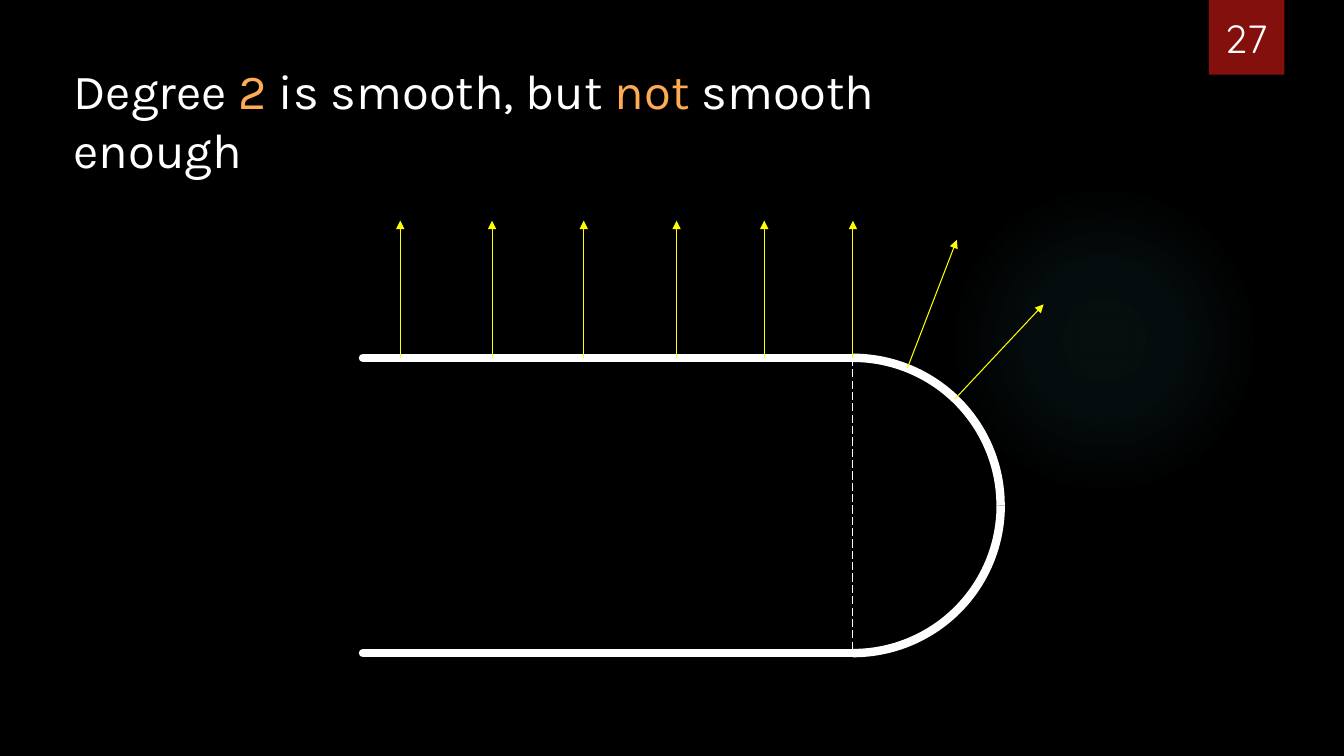
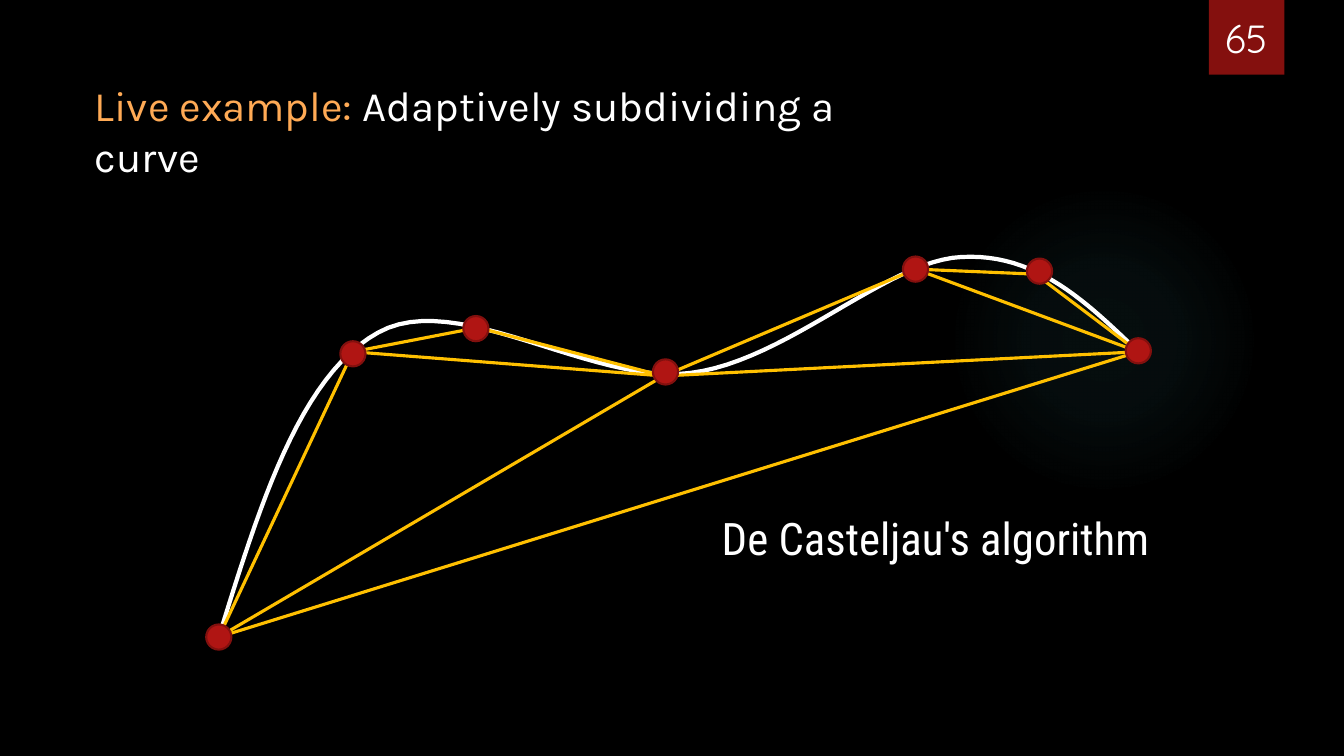
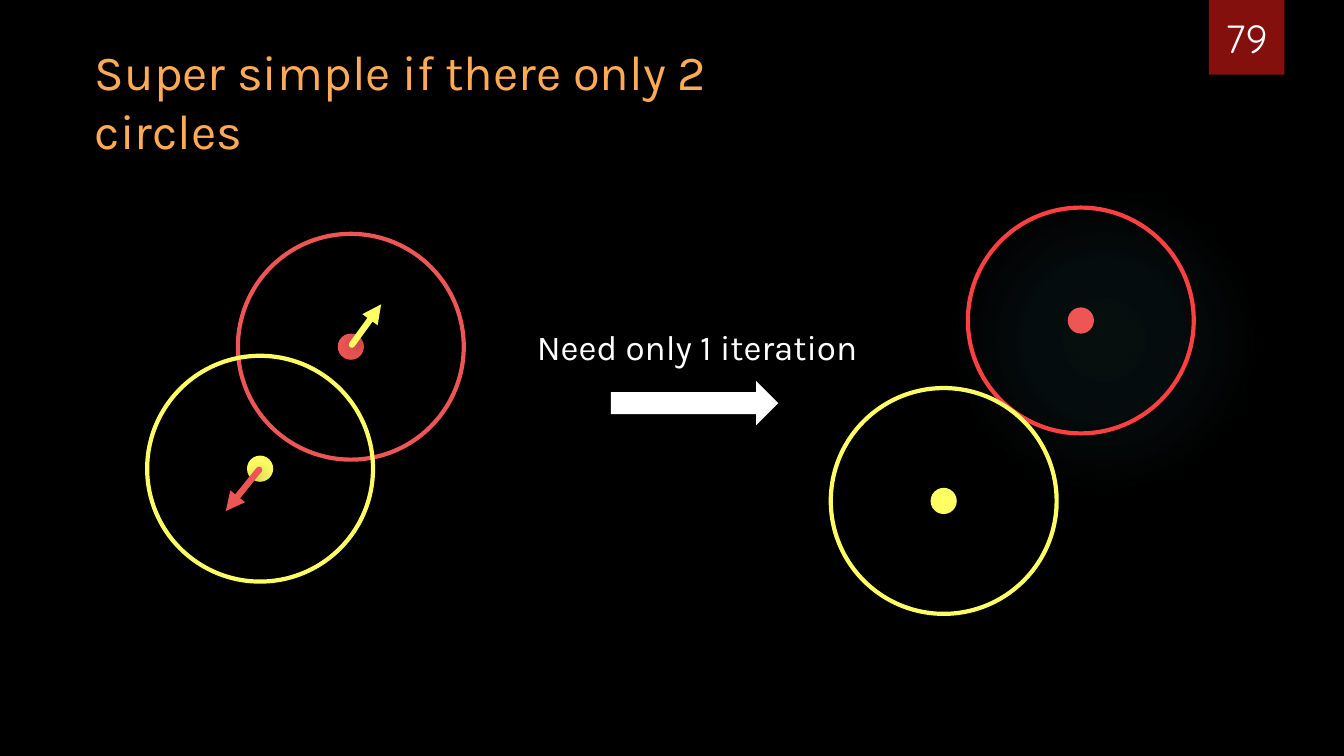
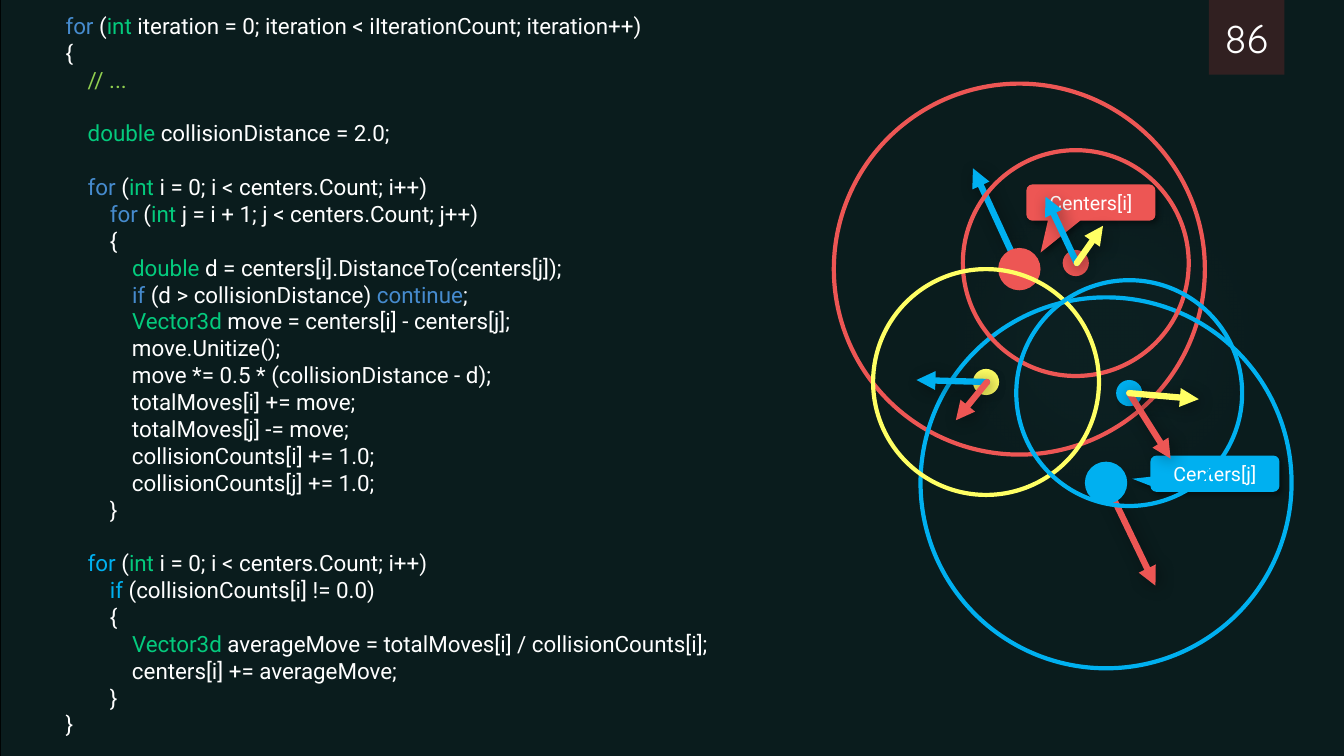
"""Four dark lecture slides on curve smoothness, subdivision and circle collisions."""
from dataclasses import dataclass

from lxml.etree import SubElement
from pptx import Presentation
from pptx.dml.color import RGBColor
from pptx.enum.dml import MSO_LINE
from pptx.enum.shapes import MSO_CONNECTOR, MSO_SHAPE
from pptx.enum.text import MSO_ANCHOR, MSO_AUTO_SIZE, PP_ALIGN
from pptx.oxml import parse_xml
from pptx.oxml.ns import nsdecls, qn
from pptx.util import Inches, Pt


@dataclass(frozen=True)
class Theme:
    black: str = "000000"
    white: str = "FFFFFF"
    accent: str = "FFAA55"
    badge: str = "84100E"
    glow: str = "50B9C1"
    normal: str = "FFFF00"
    chord: str = "FFC000"
    knot: str = "B01513"
    knot_edge: str = "82100E"
    red: str = "ED5654"
    bright_red: str = "FF4040"
    yellow: str = "FFFF64"
    blue: str = "00B0F0"
    panel: str = "0F282A"
    keyword: str = "468BCE"
    type: str = "04CA7D"
    comment: str = "92D050"
    title_font: str = "Karla"
    number_font: str = "Quicksand"
    code_font: str = "Roboto"
    label_font: str = "Roboto Condensed"
    title_size: float = 35
    small_title_size: float = 30
    label_size: float = 32
    number_size: float = 28
    caption_size: float = 25
    code_size: float = 16
    callout_size: float = 14
    hairline: float = 0.75
    chord_width: float = 2.25
    ring_width: float = 3
    arrow_width: float = 4.5
    track_width: float = 6


THEME = Theme()

BADGE_SHADOW = (45, 3, 2, 90)
ARROW_SHADOW = (40, 12, 3, 45)
CALLOUT_SHADOW = (40, 4, 3, 45)

SMOOTH_TITLE = "Degree ~accent:2~ is smooth, but ~accent:not~ smooth enough"
TRACK_LEFT, TRACK_RIGHT, TRACK_TOP, TRACK_BOTTOM = 3.6, 8.46, 3.55, 6.48
STRAIGHT_NORMALS = [3.97, 4.88, 5.79, 6.71, 7.58, 8.46]
BEND_NORMALS = [((9, 3.65), (9.49, 2.38)), ((9.47, 3.96), (10.35, 3.02))]

SUBDIVIDE_TITLE = "~accent:Live example: ~Adaptively subdividing a curve"
VERTICES = {"A": (2.17, 6.32), "B": (3.5, 3.49), "C": (4.74, 3.25), "D": (6.58, 3.73),
            "E": (9.08, 2.67), "F": (10.27, 2.72), "G": (11.29, 3.49)}
CHORDS = ["AD", "DG", "AB", "DB", "ED", "GE", "CB", "DC", "EF", "FG"]
KNOTS = [(2.17, 6.32), (11.29, 3.48), (10.31, 2.69), (9.08, 2.67),
         (6.6, 3.69), (4.72, 3.26), (3.5, 3.51)]
CURVE = [(2.17, 6.32), (2.57, 5.03), (2.97, 3.73), (3.75, 3.3), (4.53, 2.86),
         (5.88, 3.83), (6.85, 3.7), (7.81, 3.58), (8.8, 2.58), (9.54, 2.55),
         (10.28, 2.51), (10.78, 3), (11.29, 3.49)]
STEPS = 24

CIRCLES_TITLE = "~accent:Super simple if there only 2 circles~"
SMALL, LARGE = (1.12, 0.13), (1.84, 0.21)
PAIR_CIRCLES = [((3.48, 3.44), "red", "red"), ((2.58, 4.65), "yellow", "yellow"),
                ((10.72, 3.18), "bright_red", "red"), ((9.36, 4.97), "yellow", "yellow")]
PAIR_MOVES = [((3.49, 3.42), (3.78, 3.02), "yellow"), ((2.57, 4.66), (2.24, 5.07), "red")]

LARGE_MOVES = [((10.11, 2.67), (9.65, 1.67), "blue"), ((10.97, 4.79), (11.46, 5.81), "red")]
LARGE_CIRCLES = [((10.11, 2.67), "red"), ((10.97, 4.79), "blue")]
SMALL_CIRCLES = [((10.67, 2.61), "red"), ((9.78, 3.79), "yellow"), ((11.2, 3.9), "blue")]
SMALL_MOVES = [((10.68, 2.61), (10.37, 1.95), "blue"), ((10.68, 2.61), (10.94, 2.24), "yellow"),
               ((11.2, 3.9), (11.61, 4.55), "red"), ((11.2, 3.9), (11.89, 3.96), "yellow"),
               ((9.79, 3.79), (9.09, 3.77), "blue"), ((9.79, 3.79), (9.48, 4.17), "red")]
CALLOUTS = [("Centers[i]", (10.18, 1.83), "red", (-0.39, 1.38)),
            ("Centers[j]", (11.41, 4.52), "blue", (-0.64, 0.14))]
CODE = [
    "~keyword:for~ (~type:int~ iteration = 0; iteration < iIterationCount; iteration++)",
    "{",
    "    ~comment:// ...~",
    "",
    "    ~type:double~ collisionDistance = 2.0;",
    "",
    "    ~keyword:for~ (~type:int~ i = 0; i < centers.Count; i++)",
    "        ~keyword:for~ (~type:int~ j = i + 1; j < centers.Count; j++)",
    "        {",
    "            ~type:double~ d = centers[i].DistanceTo(centers[j]);",
    "            ~keyword:if~ (d > collisionDistance) ~keyword:continue~;",
    "            ~type:Vector3d~ move = centers[i] - centers[j];",
    "            move.Unitize();",
    "            move *= 0.5 * (collisionDistance - d);",
    "            totalMoves[i] += move;",
    "            totalMoves[j] -= move;",
    "            collisionCounts[i] += 1.0;",
    "            collisionCounts[j] += 1.0;",
    "        }",
    "",
    "    ~blue:for~ (~type:int~ i = 0; i < centers.Count; i++)",
    "        ~blue:if~ (collisionCounts[i] != 0.0)",
    "        {",
    "            ~type:Vector3d~ averageMove = totalMoves[i] / collisionCounts[i];",
    "            centers[i] += averageMove;",
    "        }",
    "}",
]


def rgb(name):
    return RGBColor.from_string(getattr(THEME, name))


def write(shape, *lines, font, size, align=PP_ALIGN.LEFT, anchor=MSO_ANCHOR.TOP,
          insets=(0.1, 0.05, 0.1, 0.05)):
    frame = shape.text_frame
    frame.word_wrap = True
    frame.auto_size = MSO_AUTO_SIZE.NONE
    frame.vertical_anchor = anchor
    frame.margin_left, frame.margin_top, frame.margin_right, frame.margin_bottom = map(Inches, insets)
    for index, line in enumerate(lines):
        paragraph = frame.add_paragraph() if index else frame.paragraphs[0]
        paragraph.alignment = align
        for position, part in enumerate(line.split("~")):
            colour, words = part.split(":", 1) if position % 2 else ("white", part)
            if words:
                run = paragraph.add_run()
                run.text = words
                run.font.name, run.font.size = font, Pt(size)
                run.font.color.rgb = rgb(colour)
        if not line:
            SubElement(paragraph._p, qn("a:endParaRPr"), sz=str(size * 100))


def set_shadow(shape, shadow=None):
    effects = SubElement(shape.element.spPr, qn("a:effectLst"))
    if shadow:
        alpha, blur, distance, angle = shadow
        outer = SubElement(effects, qn("a:outerShdw"), blurRad=str(int(Pt(blur))),
                           dist=str(int(Pt(distance))), dir=str(angle * 60000), algn="ctr",
                           rotWithShape="0")
        black = SubElement(outer, qn("a:srgbClr"), val=THEME.black)
        SubElement(black, qn("a:alpha"), val=str(alpha * 1000))


def style(shape, fill=None, line=None, width=1.0, shadow=None):
    if fill:
        shape.fill.solid()
        shape.fill.fore_color.rgb = rgb(fill)
    else:
        shape.fill.background()
    if line:
        shape.line.color.rgb = rgb(line)
        shape.line.width = Pt(width)
    else:
        shape.line.fill.background()
    set_shadow(shape, shadow)
    return shape


def add_preset(slide, preset, box, **look):
    return style(slide.shapes.add_shape(preset, *map(Inches, box)), **look)


def add_line(slide, start, end, colour, width, *, arrow=False, cap="flat", dash=None, shadow=None):
    connector = slide.shapes.add_connector(MSO_CONNECTOR.STRAIGHT, *map(Inches, (*start, *end)))
    connector.line.color.rgb = rgb(colour)
    connector.line.width = Pt(width)
    if dash:
        connector.line.dash_style = dash
    stroke = connector.element.spPr.find(qn("a:ln"))
    stroke.set("cap", cap)
    if arrow:
        SubElement(stroke, qn("a:tailEnd"), type="triangle")
    set_shadow(connector, shadow)


def add_moves(slide, moves):
    for start, end, colour in moves:
        add_line(slide, start, end, colour, THEME.arrow_width, arrow=True, cap="rnd",
                 shadow=ARROW_SHADOW)


def add_disc(slide, centre, radius, **look):
    x, y = centre
    add_preset(slide, MSO_SHAPE.OVAL, (x - radius, y - radius, 2 * radius, 2 * radius), **look)


def add_circle(slide, centre, radii, ring, dot):
    add_disc(slide, centre, radii[0], line=ring, width=THEME.ring_width)
    add_disc(slide, centre, radii[1], fill=dot)


def add_text(slide, box, text, **format):
    write(slide.shapes.add_textbox(*map(Inches, box)), text, **format)


def add_number(slide, number):
    add_text(slide, (11.9, -0.18, 0.92, 0.84), number, font=THEME.number_font,
             size=THEME.number_size, align=PP_ALIGN.CENTER, anchor=MSO_ANCHOR.BOTTOM)


def add_titled_slide(prs, number, title, box, size):
    slide = prs.slides.add_slide(prs.slide_layouts.get_by_name("Title Only"))
    heading = slide.shapes.title
    heading.left, heading.top, heading.width, heading.height = map(Inches, box)
    write(heading, title, font=THEME.title_font, size=size)
    add_number(slide, number)
    return slide


def dress_master(prs, slide):
    master = prs.slide_master
    master.background.fill.solid()
    master.background.fill.fore_color.rgb = rgb("black")
    glow = add_preset(slide, MSO_SHAPE.OVAL, (9.41, 1.83, 3.08, 3.08))
    stops = "".join(
        f'<a:gs pos="{place * 1000}"><a:srgbClr val="{THEME.glow}">'
        f'<a:alpha val="{alpha * 1000}"/></a:srgbClr></a:gs>'
        for place, alpha in ((0, 7), (36, 6), (69, 0)))
    gradient = parse_xml(
        f'<a:gradFill {nsdecls("a")}><a:gsLst>{stops}</a:gsLst><a:path path="circle">'
        '<a:fillToRect l="50000" t="50000" r="50000" b="50000"/></a:path></a:gradFill>')
    properties = glow.element.spPr
    properties.replace(properties.find(qn("a:noFill")), gradient)
    badge = add_preset(slide, MSO_SHAPE.RECTANGLE, (11.99, 0, 0.75, 0.74), fill="badge",
                       shadow=BADGE_SHADOW)
    for shape_id, shape in enumerate((glow, badge), 101):
        shape.element.nvSpPr.cNvPr.set("id", str(shape_id))
        master.shapes.element.append(shape.element)


def bezier(points, t):
    while len(points) > 1:
        points = [tuple(a + (b - a) * t for a, b in zip(p, q)) for p, q in zip(points, points[1:])]
    return points[0]


def add_curve(slide):
    trace = [bezier(CURVE[first:first + 4], step / STEPS)
             for first in range(0, len(CURVE) - 1, 3) for step in range(1, STEPS + 1)]
    builder = slide.shapes.build_freeform(*map(Inches, CURVE[0]))
    builder.add_line_segments([(Inches(x), Inches(y)) for x, y in trace], close=False)
    style(builder.convert_to_shape(), line="white", width=THEME.ring_width)


def build_smoothness(prs):
    slide = add_titled_slide(prs, "27", SMOOTH_TITLE, (0.63, 0.55, 9.84, 0.69), THEME.title_size)
    dress_master(prs, slide)
    for y in (TRACK_TOP, TRACK_BOTTOM):
        add_line(slide, (TRACK_LEFT, y), (TRACK_RIGHT, y), "white", THEME.track_width, cap="rnd")
    diameter = TRACK_BOTTOM - TRACK_TOP
    for rotation in (0, 90):
        bend = add_preset(slide, MSO_SHAPE.ARC,
                          (TRACK_RIGHT - diameter / 2, TRACK_TOP, diameter, diameter),
                          line="white", width=THEME.track_width)
        bend.rotation = rotation
    straight = [((x, TRACK_TOP), (x, 2.19)) for x in STRAIGHT_NORMALS]
    for start, end in straight + BEND_NORMALS:
        add_line(slide, start, end, "normal", THEME.hairline, arrow=True)
    add_line(slide, (TRACK_RIGHT, TRACK_TOP), (TRACK_RIGHT, TRACK_BOTTOM), "white",
             THEME.hairline, dash=MSO_LINE.LONG_DASH)


def build_subdivision(prs):
    slide = add_titled_slide(prs, "65", SUBDIVIDE_TITLE, (0.84, 0.74, 8.48, 0.61),
                             THEME.small_title_size)
    add_line(slide, VERTICES["A"], VERTICES["G"], "chord", THEME.chord_width)
    add_curve(slide)
    for start, end in CHORDS:
        add_line(slide, VERTICES[start], VERTICES[end], "chord", THEME.chord_width)
    for centre in KNOTS:
        add_disc(slide, centre, 0.125, fill="knot", line="knot_edge", width=1.5)
    add_text(slide, (7.06, 5.02, 4.51, 0.64), "De Casteljau's algorithm",
             font=THEME.label_font, size=THEME.label_size)


def build_two_circles(prs):
    slide = add_titled_slide(prs, "79", CIRCLES_TITLE, (0.84, 0.36, 7.58, 0.69), THEME.title_size)
    for centre, ring, dot in PAIR_CIRCLES:
        add_circle(slide, centre, SMALL, ring, dot)
    add_preset(slide, MSO_SHAPE.RIGHT_ARROW, (6.06, 3.78, 1.66, 0.44), fill="white")
    add_text(slide, (5.13, 3.18, 3.47, 0.52), "Need only 1 iteration",
             font=THEME.title_font, size=THEME.caption_size, align=PP_ALIGN.RIGHT)
    add_moves(slide, PAIR_MOVES)


def build_code(prs):
    slide = prs.slides.add_slide(prs.slide_layouts.get_by_name("Blank"))
    panel = add_preset(slide, MSO_SHAPE.RECTANGLE, (0.01, 0, 13.32, 7.5), fill="panel")
    tint = panel.element.spPr.find(qn("a:solidFill"))[0]
    SubElement(tint, qn("a:alpha"), val="70000")
    write(panel, *CODE, font=THEME.code_font, size=THEME.code_size, insets=(0.64, 0.12, 0.2, 0.12))
    add_number(slide, "86")
    add_moves(slide, LARGE_MOVES)
    for centre, colour in LARGE_CIRCLES:
        add_circle(slide, centre, LARGE, colour, colour)
    for label, corner, colour, tip in CALLOUTS:
        callout = add_preset(slide, MSO_SHAPE.ROUNDED_RECTANGULAR_CALLOUT, (*corner, 1.28, 0.36),
                             fill=colour, shadow=CALLOUT_SHADOW)
        callout.adjustments[0], callout.adjustments[1] = tip
        write(callout, label, font=THEME.code_font, size=THEME.callout_size,
              align=PP_ALIGN.CENTER, anchor=MSO_ANCHOR.MIDDLE)
    for centre, colour in SMALL_CIRCLES:
        add_circle(slide, centre, SMALL, colour, colour)
    add_moves(slide, SMALL_MOVES)


def main():
    prs = Presentation()
    prs.slide_width, prs.slide_height = Inches(13.33), Inches(7.5)
    for build in (build_smoothness, build_subdivision, build_two_circles, build_code):
        build(prs)
    prs.save("out.pptx")


if __name__ == "__main__":
    main()
